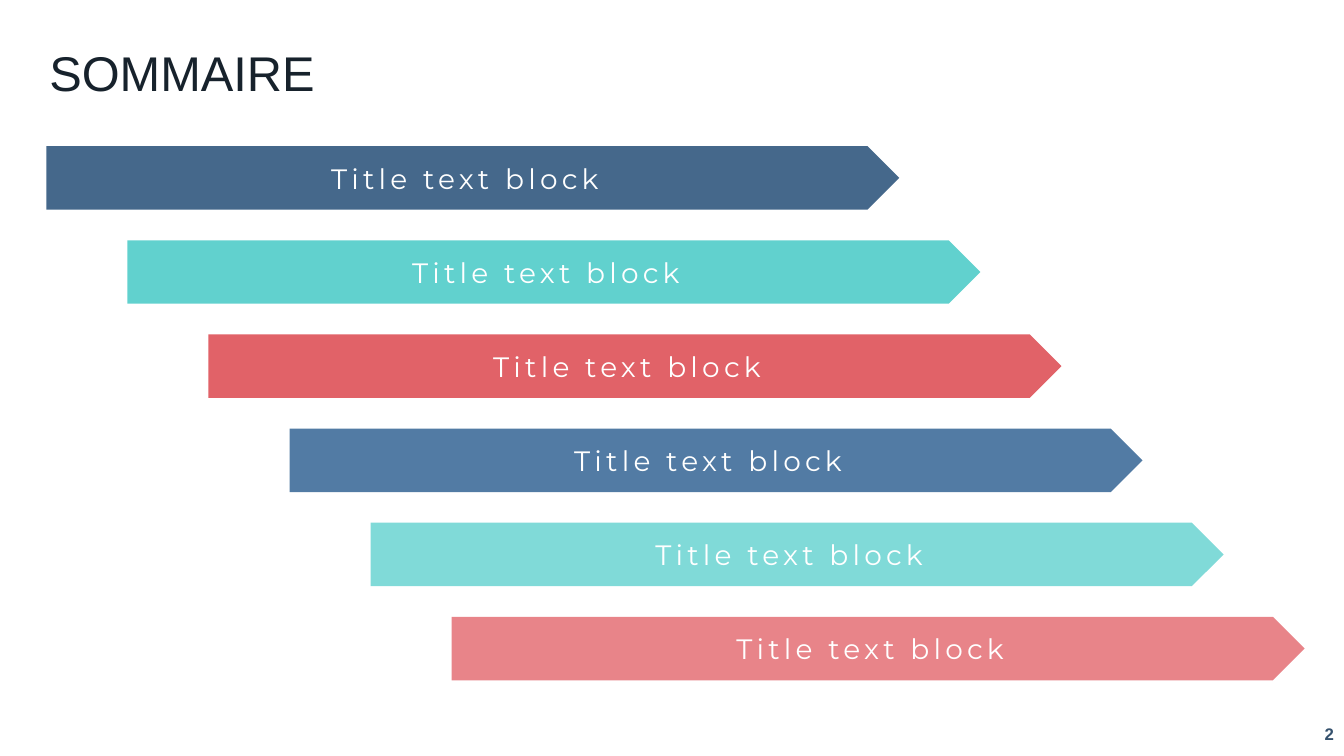
"""Build the summary slide with six staggered arrow bars."""
from dataclasses import dataclass, field

import pptx
import pptx.dml.color
import pptx.enum.shapes
import pptx.enum.text
import pptx.util

Inches = pptx.util.Inches
Align = pptx.enum.text.PP_ALIGN
Fit = pptx.enum.text.MSO_AUTO_SIZE


@dataclass
class Style:
    size: int
    face: str
    color: str
    align: Align
    bold: bool = False
    extra: dict[str, str] = field(default_factory=dict)


@dataclass
class Label:
    text: str
    box: tuple[float, float, float, float]
    style: Style
    frame: dict = field(default_factory=dict)


HEAD = Style(60, "Arial", "17222C", Align.LEFT, extra={"baseline": "12000"})
PAGE = Style(12, "Arial", "36526E", Align.RIGHT, bold=True)
BAR = Style(20, "Montserrat", "FFFFFF", Align.CENTER, extra={"spc": "300"})

INSET = Inches(0.03)
SIDES = ("margin_left", "margin_top", "margin_right", "margin_bottom")
LABELS = [
    Label("2", (12.76, 7.05, 0.57, 0.45), PAGE),
    Label("SOMMAIRE", (0.46, 0.31, 8.37, 0.73), HEAD,
          {**dict.fromkeys(SIDES, INSET), "auto_size": Fit.SHAPE_TO_FIT_TEXT}),
]

FILLS = ["45688B", "61D1CE", "E16268", "527BA4", "80DAD8", "E88489"]
LEFT, TOP, WIDTH, HEIGHT = 0.46, 1.45, 8.46, 0.63
LAST_LEFT, LAST_TOP = 4.48, 6.12


def rgb(code: str) -> pptx.dml.color.RGBColor:
    return pptx.dml.color.RGBColor.from_string(code)


def write(shape, text: str, style: Style, frame: dict) -> None:
    body = shape.text_frame
    wanted = {"word_wrap": True,
              "vertical_anchor": pptx.enum.text.MSO_ANCHOR.MIDDLE, **frame}
    for name, value in wanted.items():
        setattr(body, name, value)
    para = body.paragraphs[0]
    para.alignment = style.align
    run = para.add_run()
    run.text = text
    look = {"size": pptx.util.Pt(style.size), "name": style.face,
            "bold": style.bold}
    for name, value in look.items():
        setattr(run.font, name, value)
    run.font.color.rgb = rgb(style.color)
    for name, value in style.extra.items():
        run.font._element.set(name, value)


def add_label(slide, label: Label) -> None:
    shape = slide.shapes.add_textbox(*map(Inches, label.box))
    write(shape, label.text, label.style, label.frame)


def add_bar(slide, left: float, top: float, fill: str) -> None:
    shape = slide.shapes.add_shape(
        pptx.enum.shapes.MSO_SHAPE.PENTAGON,
        *map(Inches, (left, top, WIDTH, HEIGHT)))
    shape.shadow.inherit = False
    shape.fill.solid()
    shape.fill.fore_color.rgb = rgb(fill)
    shape.line.fill.background()
    write(shape, "Title text block", BAR, {})


def main() -> None:
    deck = pptx.Presentation()
    deck.slide_width, deck.slide_height = Inches(13.33), Inches(7.5)
    slide = deck.slides.add_slide(deck.slide_layouts[6])
    for label in LABELS:
        add_label(slide, label)
    gaps = len(FILLS) - 1
    for index, fill in enumerate(FILLS):
        part = index / gaps
        add_bar(slide, LEFT + part * (LAST_LEFT - LEFT),
                TOP + part * (LAST_TOP - TOP), fill)
    deck.save("out.pptx")


if __name__ == "__main__":
    main()
